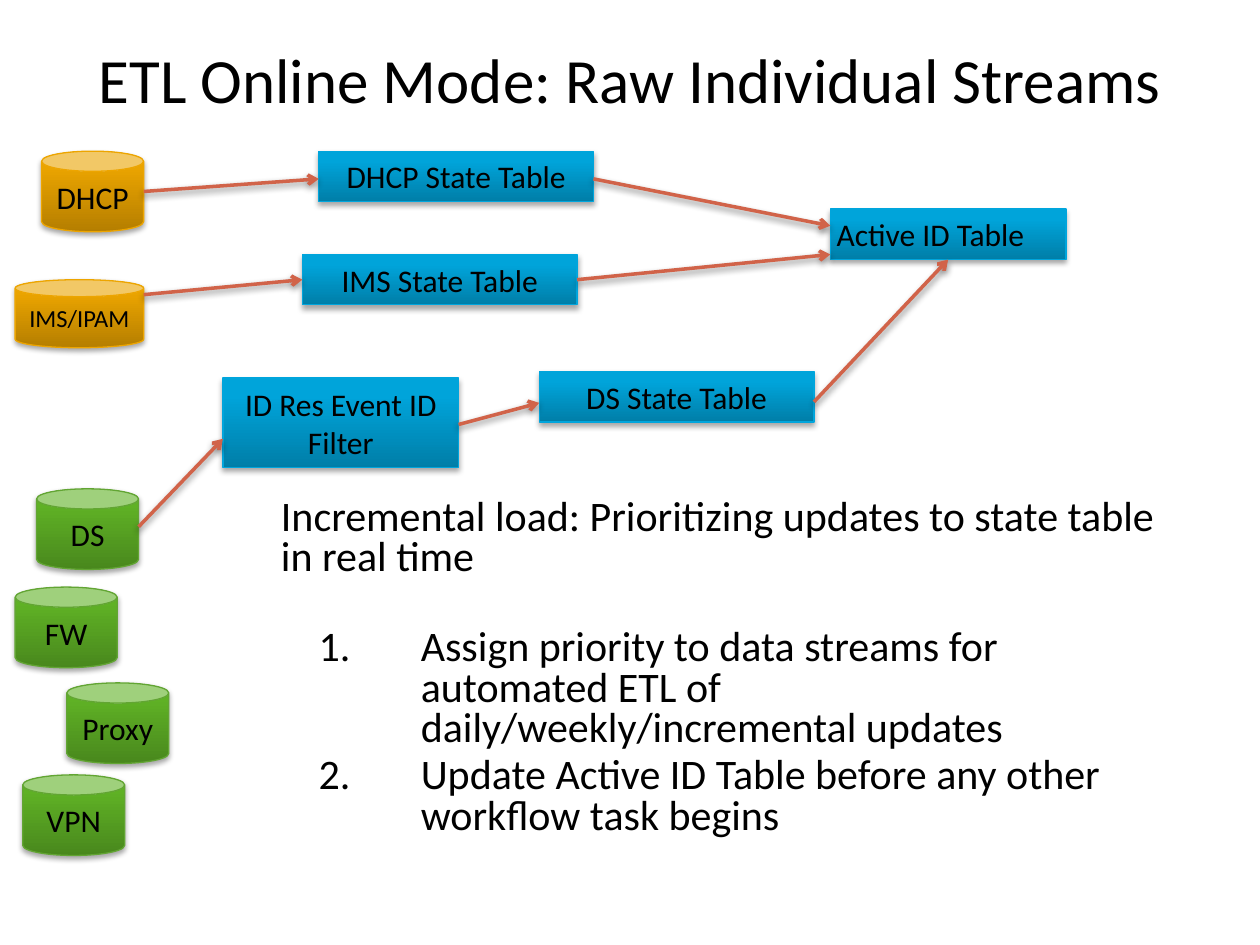
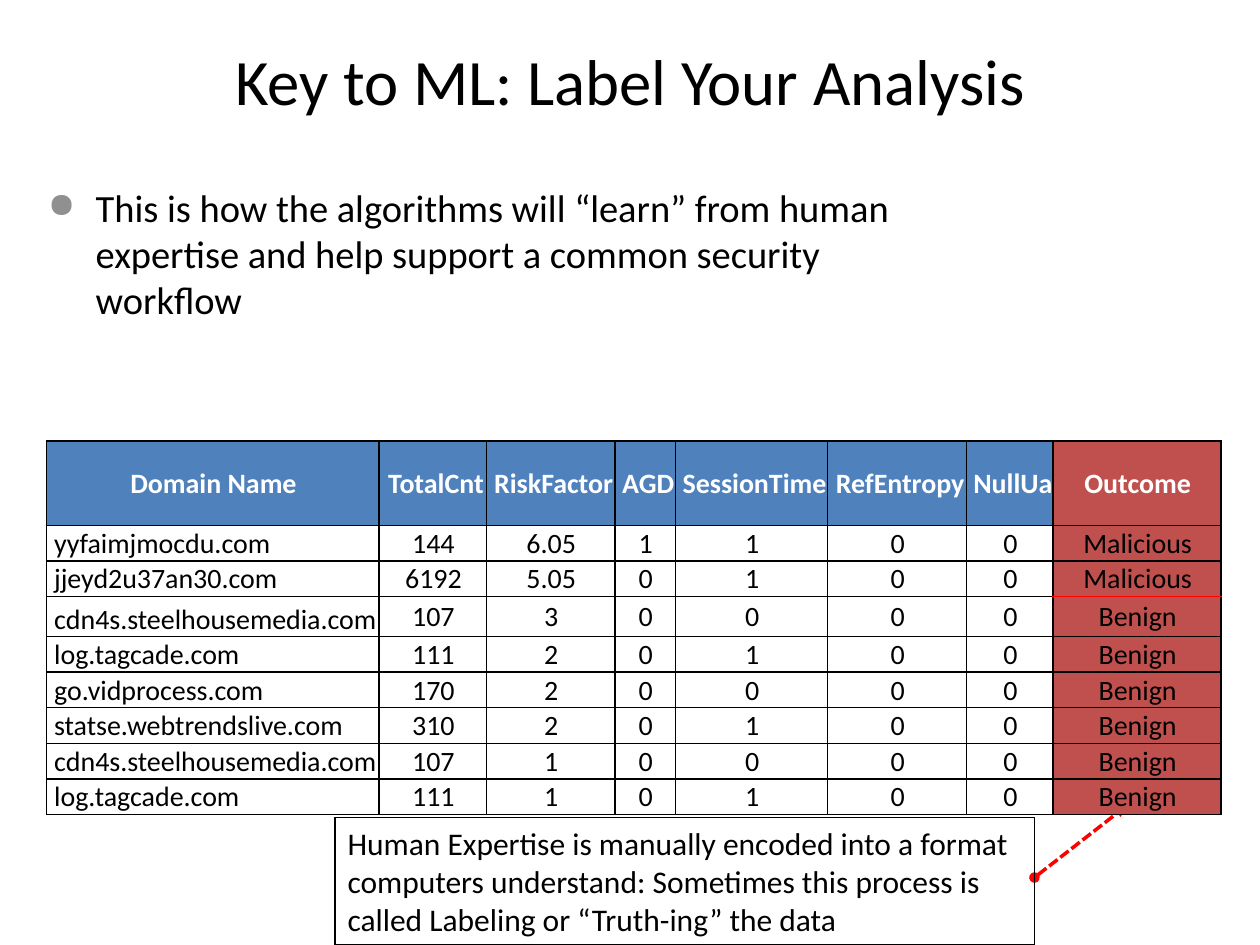
from copy import deepcopy
from dataclasses import dataclass

from pptx import Presentation
from pptx import util as u
from pptx.dml.color import RGBColor
from pptx.enum import dml, shapes, text
from pptx.oxml import parse_xml
from pptx.oxml.ns import nsdecls, qn

# Slide grid: 100 columns by 75 rows
WIDTH, HEIGHT = u.Inches(10), u.Inches(7.5)
COL, ROW = WIDTH / 100, HEIGHT / 75
FONT = "Calibri"
BLACK, WHITE, RED, ARROW = "000000", "FFFFFF", "FF0000", "D16349"
HEADER_BLUE, OUTCOME_RED = "4F81BD", "C0504D"
# Gradient from bottom to top, then the outline
ORANGE = ("B57E00", "EAA400", "ECA500", "EDA500")
GREEN = ("49881D", "5FB125", "5FB523", "62A533")
BLUE = ("007EA8", "00A4DA", "00A5DB", "00A5DC")
LEFT, CENTER = text.PP_ALIGN.LEFT, text.PP_ALIGN.CENTER
TOP, MIDDLE, BOTTOM = (text.MSO_ANCHOR.TOP, text.MSO_ANCHOR.MIDDLE,
                       text.MSO_ANCHOR.BOTTOM)


@dataclass
class Box:
    """An area in grid columns and rows."""
    x: float
    y: float
    w: float
    h: float

    def inner(self, x, y, w, h):
        return Box(self.x + x, self.y + y, w, h)

    def point(self, across, down):
        return (round((self.x + across * self.w) * COL),
                round((self.y + down * self.h) * ROW))

    def extent(self):
        return *self.point(0, 0), round(self.w * COL), round(self.h * ROW)


def rgb(value):
    return RGBColor.from_string(value)


def element(tag, inner="", **attributes):
    listed = " ".join(f'{key}="{value}"' for key, value in attributes.items())
    return parse_xml(f"<a:{tag} {nsdecls('a')} {listed}>{inner}</a:{tag}>")


def set_shadow(shape, blur=0, distance=0, alpha=0):
    """Replace the theme shadow; no alpha means no shadow."""
    inner = ""
    if alpha:
        inner = (f'<a:outerShdw blurRad="{u.Pt(blur)}" dist="{u.Pt(distance)}"'
                 ' dir="5400000" rotWithShape="0"><a:srgbClr val="000000">'
                 f'<a:alpha val="{alpha * 1000}"/></a:srgbClr></a:outerShdw>')
    shape._element.spPr.append(element("effectLst", inner))


def write(frame, words, size=18, color=BLACK, bold=False, align=LEFT,
          line=None, before=0, after=0, margin=0, hanging=0, bullet=()):
    """Fill the first empty paragraph of the frame, or add one."""
    last = frame.paragraphs[-1]
    paragraph = frame.add_paragraph() if last.runs else last
    properties = paragraph._p.get_or_add_pPr()
    if margin:
        properties.set("marL", str(u.Inches(margin)))
        properties.set("indent", str(u.Inches(-hanging)))
    for mark in bullet:
        properties.append(mark)
    paragraph.alignment = align
    paragraph.line_spacing = line
    paragraph.space_before, paragraph.space_after = u.Pt(before), u.Pt(after)
    run = paragraph.add_run()
    run.text = words
    run.font.name, run.font.size, run.font.bold = FONT, u.Pt(size), bold
    run.font.color.rgb = rgb(color)


def set_frame(frame, anchor, across, down):
    frame.word_wrap, frame.auto_size = True, text.MSO_AUTO_SIZE.NONE
    frame.vertical_anchor = anchor
    frame.margin_left = frame.margin_right = u.Inches(across)
    frame.margin_top = frame.margin_bottom = u.Inches(down)
    return frame


def add_slide(deck, title, box, size):
    slide = deck.slides.add_slide(deck.slide_layouts[5])
    heading = slide.shapes.title
    heading.left, heading.top, heading.width, heading.height = box.extent()
    write(set_frame(heading.text_frame, MIDDLE, 0.09, 0.04), title,
          size=size, align=CENTER)
    return slide


def add_body(slide, box):
    body = slide.shapes.add_textbox(*box.extent())
    return set_frame(body.text_frame, TOP, 0.06, 0.03)


def add_node(slide, kind, box, label, colors, size=18, align=CENTER):
    node = slide.shapes.add_shape(kind, *box.extent())
    node.line.color.rgb, node.line.width = rgb(colors[3]), u.Pt(0.75)
    node.fill.gradient()
    node.fill.gradient_angle = 90
    stop_list = node._element.spPr.find(".//" + qn("a:gsLst"))
    stop_list.append(deepcopy(stop_list[0]))
    for stop, place, color in zip(node.fill.gradient_stops, (0, 0.8, 1), colors):
        stop.position, stop.color.rgb = place, rgb(color)
    set_shadow(node, 3.1, 1.8, 35)
    write(set_frame(node.text_frame, MIDDLE, 0.05, 0.05), label,
          size=size, align=align)


def add_arrow(slide, start, end, color, tail, head=None, dash=None):
    arrow = slide.shapes.add_connector(shapes.MSO_CONNECTOR.STRAIGHT, *start, *end)
    arrow.line.color.rgb, arrow.line.width = rgb(color), u.Pt(2)
    if dash:
        arrow.line.dash_style = dash
    outline = arrow.line._get_or_add_ln()
    if head:
        outline.append(element("headEnd", type=head))
    outline.append(element("tailEnd", type=tail))
    return arrow


def stream_diagram(slide, box):
    """Sources on the left, state tables, and the table they all feed."""
    can, table = shapes.MSO_SHAPE.CAN, shapes.MSO_SHAPE.RECTANGLE
    source, state, wide = (8.1, 6.4), (21.8, 4), 18.7
    nodes = {}
    for kind, label, x, y, (w, h), colors, style in (
            (can, "DHCP", 3.3, 0, source, ORANGE, {}),
            (can, "IMS/IPAM", 1.2, 10.2, (10.2, 5.4), ORANGE, {"size": 14}),
            (can, "DS", 2.9, 26.8, source, GREEN, {}),
            (can, "FW", 1.2, 34.6, source, GREEN, {}),
            (can, "Proxy", 5.3, 42.2, source, GREEN, {}),
            (can, "VPN", 1.8, 49.5, source, GREEN, {}),
            (table, "DHCP State Table", 25.3, 0, state, BLUE, {}),
            (table, "IMS State Table", 24, 8.2, state, BLUE, {}),
            (table, "DS State Table", 42.8, 17.5, state, BLUE, {}),
            (table, "ID Res Event ID Filter", 17.7, 18, (wide, 7.1), BLUE, {}),
            (table, "Active ID Table", 65.9, 4.6, (wide, 4), BLUE,
             {"align": LEFT})):
        nodes[label] = box.inner(x, y, w, h)
        add_node(slide, kind, nodes[label], label, colors, **style)

    # Each arrow leaves a right edge; heights are shares of the node
    for origin, leave, target, enter in (
            ("DHCP", 0.5, "DHCP State Table", (0, 0.55)),
            ("IMS/IPAM", 0.22, "IMS State Table", (0, 0.5)),
            ("DS", 0.47, "ID Res Event ID Filter", (0, 0.68)),
            ("ID Res Event ID Filter", 0.52, "DS State Table", (0, 0.62)),
            ("DHCP State Table", 0.55, "Active ID Table", (0, 0.33)),
            ("IMS State Table", 0.5, "Active ID Table", (0, 0.9)),
            ("DS State Table", 0.6, "Active ID Table", (0.5, 1))):
        arrow = add_arrow(slide, nodes[origin].point(1, leave),
                          nodes[target].point(*enter), ARROW, "arrow")
        set_shadow(arrow, 4, 2, 45)


def load_steps(slide, box):
    body = add_body(slide, box)
    write(body, "Incremental load: Prioritizing updates to state table "
          "in real time", size=24, line=0.8, after=4)
    steps = ("Assign priority to data streams for automated ETL of "
             "daily/weekly/incremental updates",
             "Update Active ID Table before any other workflow task begins")
    for step, before in zip(steps, (24.6, 0)):
        write(body, step, size=24, line=0.8, before=before, after=4,
              margin=1.11, hanging=0.81,
              bullet=[element("buFont", typeface="+mj-lt"),
                      element("buAutoNum", type="arabicPeriod")])


def learning_point(slide, box):
    write(add_body(slide, box),
          "This is how the algorithms will “learn” from human expertise and "
          "help support a common security workflow",
          size=22, after=4, margin=0.38, hanging=0.38,
          bullet=[element("buClr", '<a:srgbClr val="909090"/>'),
                  element("buSzPct", val=90000), element("buChar", char="●")])


def set_cell(cell, words, fill=None, anchor=MIDDLE, inset=0.01, borders=None, **style):
    properties = cell._tc.get_or_add_tcPr()
    for side in "LRTB":
        color = (borders or {}).get(side, BLACK)
        properties.append(element(
            "ln" + side, f'<a:solidFill><a:srgbClr val="{color}"/></a:solidFill>',
            w=u.Pt(1)))
    if fill:
        cell.fill.solid()
        cell.fill.fore_color.rgb = rgb(fill)
    else:
        cell.fill.background()
    cell.vertical_anchor = anchor
    cell.margin_left, cell.margin_top = u.Inches(inset), u.Inches(0.01)
    cell.margin_right = cell.margin_bottom = 0
    write(cell.text_frame, words, size=16, **style)


def domain_table(slide, box):
    headers = ("Domain Name", "TotalCnt", "RiskFactor", "AGD", "SessionTime",
               "RefEntropy", "NullUa", "Outcome")
    domains = (
        ("yyfaimjmocdu.com", "144", "6.05", "1", "1", "0", "0", "Malicious"),
        ("jjeyd2u37an30.com", "6192", "5.05", "0", "1", "0", "0", "Malicious"),
        ("cdn4s.steelhousemedia.com", "107", "3", "0", "0", "0", "0", "Benign"),
        ("log.tagcade.com", "111", "2", "0", "1", "0", "0", "Benign"),
        ("go.vidprocess.com", "170", "2", "0", "0", "0", "0", "Benign"),
        ("statse.webtrendslive.com", "310", "2", "0", "1", "0", "0", "Benign"),
        ("cdn4s.steelhousemedia.com", "107", "1", "0", "0", "0", "0", "Benign"),
        ("log.tagcade.com", "111", "1", "0", "1", "0", "0", "Benign"))
    table = slide.shapes.add_table(len(domains) + 1, len(headers),
                                   *box.extent()).table
    table.first_row = table.horz_banding = False
    for column, width in zip(table.columns,
                             (26.4, 8.5, 10.2, 4.8, 12.1, 11, 6.9, 13.3)):
        column.width = round(width * COL)
    for index, row in enumerate(table.rows):
        row.height = round({0: 6.7, 3: 3.2}.get(index, 2.3) * ROW)

    outcome = len(headers) - 1
    for c, header in enumerate(headers):
        set_cell(table.cell(0, c), header, color=WHITE, bold=True, align=CENTER,
                 fill=OUTCOME_RED if c == outcome else HEADER_BLUE,
                 inset=0.05 if 0 < c < outcome else 0.01)
    # A red rule parts malicious from benign outcomes
    rules = {2: {"B": RED}, 3: {"T": RED}}
    for r, (domain, *scores, verdict) in enumerate(domains, 1):
        set_cell(table.cell(r, 0), domain, anchor=BOTTOM, inset=0.06)
        for c, score in enumerate(scores, 1):
            set_cell(table.cell(r, c), score, align=CENTER)
        set_cell(table.cell(r, outcome), verdict, fill=OUTCOME_RED,
                 align=CENTER, borders=rules.get(r))


def label_note(slide, box):
    note = slide.shapes.add_shape(shapes.MSO_SHAPE.RECTANGLE, *box.extent())
    note.shadow.inherit = False
    note.fill.background()
    note.line.color.rgb, note.line.width = rgb(BLACK), u.Pt(0.75)
    write(set_frame(note.text_frame, TOP, 0.1, 0.05),
          "Human Expertise is manually encoded into a format computers "
          "understand: Sometimes this process is called Labeling or "
          "“Truth-ing” the data")


def streams_slide(deck):
    slide = add_slide(deck, "ETL Online Mode: Raw Individual Streams",
                      Box(5, 0, 90, 12.5), 36)
    load_steps(slide, Box(21.7, 39.3, 71.4, 28))
    stream_diagram(slide, Box(0, 12, 85, 56))


def labeling_slide(deck):
    slide = add_slide(deck, "Key to ML: Label Your Analysis",
                      Box(0, 0.1, 100, 12.5), 37)
    table, note = Box(3.7, 35, 93.1, 29), Box(26.6, 64.9, 55.5, 10.1)
    # Arrow from the note to the outcome column
    pointer = add_arrow(slide, note.point(1, 0.47), table.point(0.92, 1), RED,
                        "triangle", head="oval", dash=dml.MSO_LINE.SQUARE_DOT)
    set_shadow(pointer)
    learning_point(slide, Box(3.2, 14.3, 71.9, 51.9))
    domain_table(slide, table)
    label_note(slide, note)


def main():
    deck = Presentation()
    deck.slide_width, deck.slide_height = WIDTH, HEIGHT
    streams_slide(deck)
    labeling_slide(deck)
    deck.save("out.pptx")


if __name__ == "__main__":
    main()
